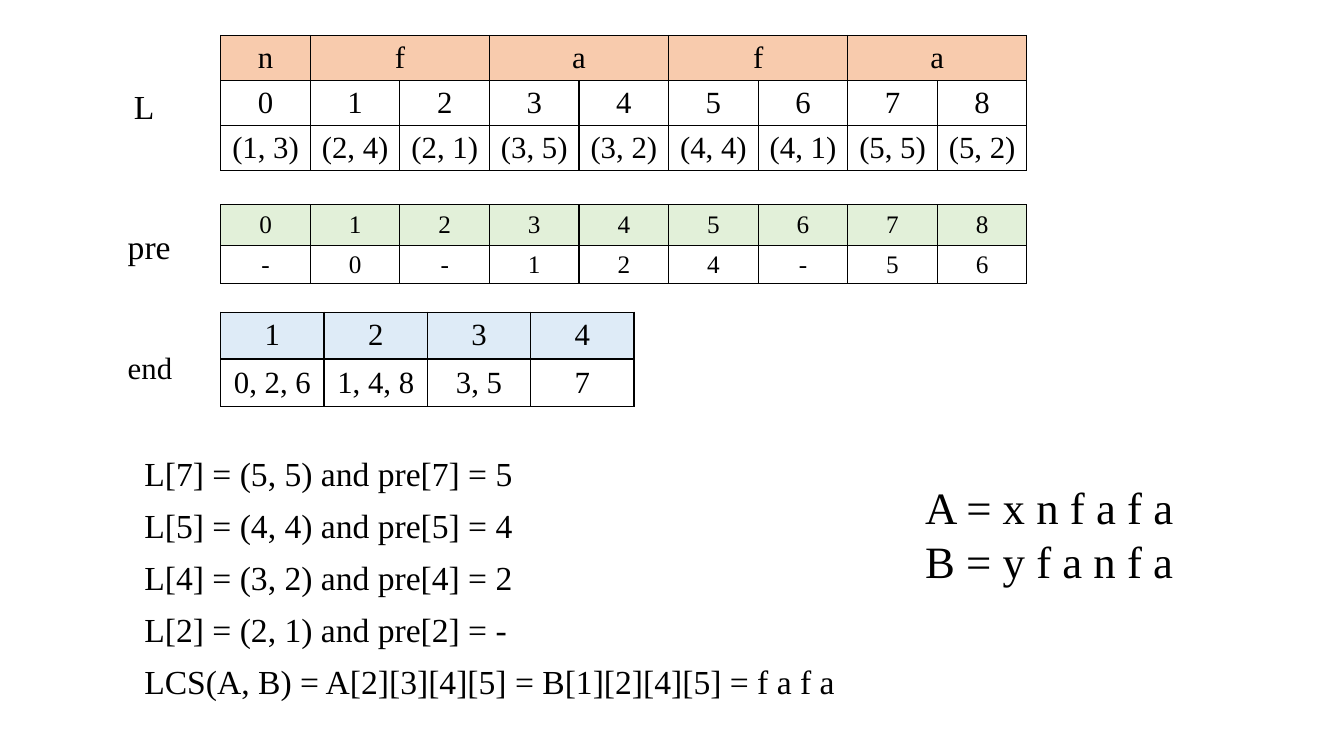
from lxml import etree
from pptx import Presentation
from pptx.dml.color import RGBColor
from pptx.enum import text
from pptx.oxml.ns import qn
from pptx.util import Pt

THEME = {
    "font": "Times New Roman", "ink": "000000", "line": 1,
    "orange": "F8CBAD", "green": "E2F0D9", "blue": "DEEBF7",
    "small": 18, "cell": 22, "body": 24, "strings": 32,
}
INDEXES = [str(i) for i in range(9)]
TABLE_LEFT = 157.7

# An empty string continues the cell to its left.
TABLES = [
    {"top": 25.4, "column": 64, "heights": [32.2] * 3, "size": "cell", "header": "orange",
     "rows": [["n", "f", "", "a", "", "f", "", "a", ""],
              INDEXES,
              ["(1, 3)", "(2, 4)", "(2, 1)", "(3, 5)", "(3, 2)",
               "(4, 4)", "(4, 1)", "(5, 5)", "(5, 2)"]]},
    {"top": 146.2, "column": 64, "heights": [29, 27.4], "size": "small", "header": "green",
     "rows": [INDEXES, ["-", "0", "-", "1", "2", "4", "-", "5", "6"]]},
    {"top": 223, "column": 73.8, "heights": [33.5, 33.7], "size": "cell", "header": "blue",
     "rows": [["1", "2", "3", "4"], ["0, 2, 6", "1, 4, 8", "3, 5", "7"]]},
]
# lines, left, top, width, height, size, space before later lines
TEXTS = [
    (["L"], 88.6, 57.6, 41, 36, "body", 0),
    (["pre"], 84.2, 157.7, 52, 36, "body", 0),
    (["end"], 84.2, 245.5, 52, 34, "cell", 0),
    (["L[7] = (5, 5) and pre[7] = 5",
      "L[5] = (4, 4) and pre[5] = 4",
      "L[4] = (3, 2) and pre[4] = 2",
      "L[2] = (2, 1) and pre[2] = -",
      "LCS(A, B) = A[2][3][4][5] = B[1][2][4][5] = f a f a"],
     96, 320, 530, 180, "body", 8.35),
    (["A = x n f a f a", "B = y f a n f a"], 653.8, 339.1, 216, 85, "strings", 0),
]


def style_runs(p, size):
    for r in p.runs:
        r.font.name = THEME["font"]
        r.font.size = Pt(THEME[size])
        r.font.color.rgb = RGBColor.from_string(THEME["ink"])


def add_borders(cell):
    tc_pr = cell._tc.get_or_add_tcPr()
    for side in ("lnL", "lnR", "lnT", "lnB"):
        line = etree.SubElement(tc_pr, qn(f"a:{side}"), w=str(Pt(THEME["line"])))
        fill = etree.SubElement(line, qn("a:solidFill"))
        etree.SubElement(fill, qn("a:srgbClr"), val=THEME["ink"])


def style_cell(cell, value, size, color):
    cell.margin_top = cell.margin_bottom = Pt(1)
    cell.margin_left = cell.margin_right = Pt(5)
    cell.vertical_anchor = text.MSO_ANCHOR.MIDDLE
    add_borders(cell)
    if color:
        cell.fill.solid()
        cell.fill.fore_color.rgb = RGBColor.from_string(color)
    else:
        cell.fill.background()
    p = cell.text_frame.paragraphs[0]
    p.text = value
    p.alignment = text.PP_ALIGN.CENTER
    p.font.size = Pt(THEME[size])
    style_runs(p, size)


def draw_table(s, data):
    rows, heights = data["rows"], data["heights"]
    count = len(rows[0])
    table = s.shapes.add_table(len(rows), count, Pt(TABLE_LEFT), Pt(data["top"]),
                               Pt(data["column"] * count), Pt(sum(heights))).table
    table.first_row = table.horz_banding = False
    for column in table.columns:
        column.width = Pt(data["column"])
    for i, (values, height) in enumerate(zip(rows, heights)):
        table.rows[i].height = Pt(height)
        color = THEME[data["header"]] if i == 0 else None
        for j, value in enumerate(values):
            style_cell(table.cell(i, j), value, data["size"], color)
            if not value:
                table.cell(i, j - 1).merge(table.cell(i, j))


def draw_text(s, lines, left, top, width, height, size, gap):
    tf = s.shapes.add_textbox(Pt(left), Pt(top), Pt(width), Pt(height)).text_frame
    tf.word_wrap = True
    for i, line in enumerate(lines):
        p = tf.add_paragraph() if i else tf.paragraphs[0]
        p.text = line
        if i and gap:
            p.space_before = Pt(gap)
        style_runs(p, size)


def main():
    prs = Presentation()
    prs.slide_width, prs.slide_height = Pt(960), Pt(540)
    s = prs.slides.add_slide(prs.slide_layouts[6])
    for data in TABLES:
        draw_table(s, data)
    for item in TEXTS:
        draw_text(s, *item)
    prs.save("out.pptx")


if __name__ == "__main__":
    main()
